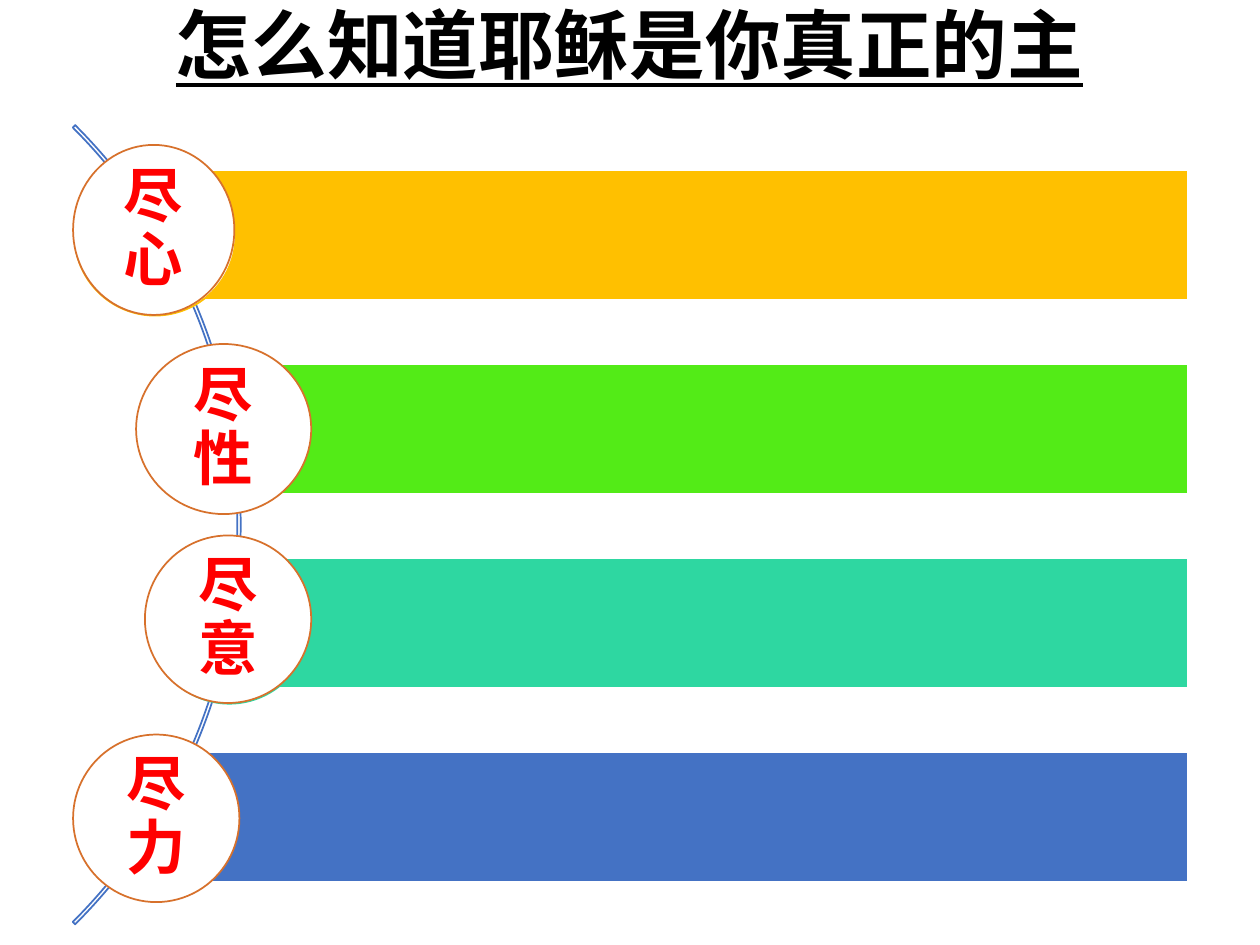
"""Build the slide of four coloured bars hung on an arc, each with a labelled circle."""
import pptx
import pptx.dml.color
import pptx.enum.shapes
import pptx.enum.text
import pptx.util

Inches = pptx.util.Inches
RGBColor = pptx.dml.color.RGBColor
MSO_SHAPE = pptx.enum.shapes.MSO_SHAPE

BLACK = RGBColor(0x00, 0x00, 0x00)
WHITE = RGBColor(0xFF, 0xFF, 0xFF)
RED = RGBColor(0xFF, 0x00, 0x00)
ORANGE = RGBColor(0xD7, 0x71, 0x2C)
GOLD = RGBColor(0xFF, 0xC0, 0x00)
GREEN = RGBColor(0x53, 0xEB, 0x17)
TEAL = RGBColor(0x2E, 0xD7, 0xA1)
BLUE = RGBColor(0x44, 0x72, 0xC4)


class SlideBuilder:
    title_font = "Times New Roman"
    label_font = "Calibri"
    line_width = pptx.util.Pt(1)

    def __init__(self, slide):
        self.s = slide

    def shape(self, kind, box, fill, line):
        sp = self.s.shapes.add_shape(kind, *map(Inches, box))
        sp.shadow.inherit = False
        if fill is None:
            sp.fill.background()
        else:
            sp.fill.solid()
            sp.fill.fore_color.rgb = fill
        sp.line.color.rgb = line
        sp.line.width = self.line_width
        return sp

    def text(self, sp, text, font, size, color, inset, underline=None):
        tf = sp.text_frame
        tf.word_wrap = True
        tf.vertical_anchor = pptx.enum.text.MSO_ANCHOR.MIDDLE
        tf.margin_left = tf.margin_right = Inches(inset)
        tf.margin_top = tf.margin_bottom = Inches(inset)
        p = tf.paragraphs[0]
        p.alignment = pptx.enum.text.PP_ALIGN.CENTER
        p.line_spacing = 0.9
        r = p.add_run()
        r.text = text
        r.font.name = font
        r.font.size = pptx.util.Pt(size)
        r.font.bold = True
        r.font.underline = underline
        r.font.color.rgb = color

    def title(self, text, box):
        sp = self.s.shapes.add_textbox(*map(Inches, box))
        self.text(sp, text, self.title_font, 43.2, BLACK, 0.05, True)

    def arc(self, box):
        sp = self.shape(MSO_SHAPE.BLOCK_ARC, box, None, BLUE)
        for i, value in enumerate((189, 27, 0.003)):
            sp.adjustments[i] = value

    def bar(self, left, top, color):
        right, height, ring = 9.43, 1.03, 1.28
        self.shape(MSO_SHAPE.RECTANGLE, (left, top, right - left, height), color, WHITE)
        ring_box = (left - ring / 2, top + (height - ring) / 2, ring, ring)
        self.shape(MSO_SHAPE.OVAL, ring_box, WHITE, color)

    def circle(self, text, box):
        sp = self.shape(MSO_SHAPE.OVAL, box, WHITE, ORANGE)
        self.text(sp, text, self.label_font, 34, RED, 0.05)


def main():
    prs = pptx.Presentation()
    prs.slide_width, prs.slide_height = Inches(10), Inches(7.5)
    b = SlideBuilder(prs.slides.add_slide(prs.slide_layouts[6]))
    b.title("怎么知道耶稣是你真正的主", (0.62, 0, 8.75, 0.78))
    b.arc((-7.06, -0.32, 8.97, 8.97))

    rows = [
        (1.23, GOLD, "尽心", (0.58, 1.15, 1.28, 1.35)),
        (1.82, GREEN, "尽性", (1.08, 2.73, 1.39, 1.35)),
        (1.82, TEAL, "尽意", (1.15, 4.25, 1.32, 1.33)),
        (1.23, BLUE, "尽力", (0.58, 5.83, 1.32, 1.33)),
    ]
    first_top, pitch = 1.35, 1.54
    for i, (left, color, label, box) in enumerate(rows):
        b.bar(left, first_top + i * pitch, color)
        b.circle(label, box)
    prs.save("out.pptx")


if __name__ == "__main__":
    main()
